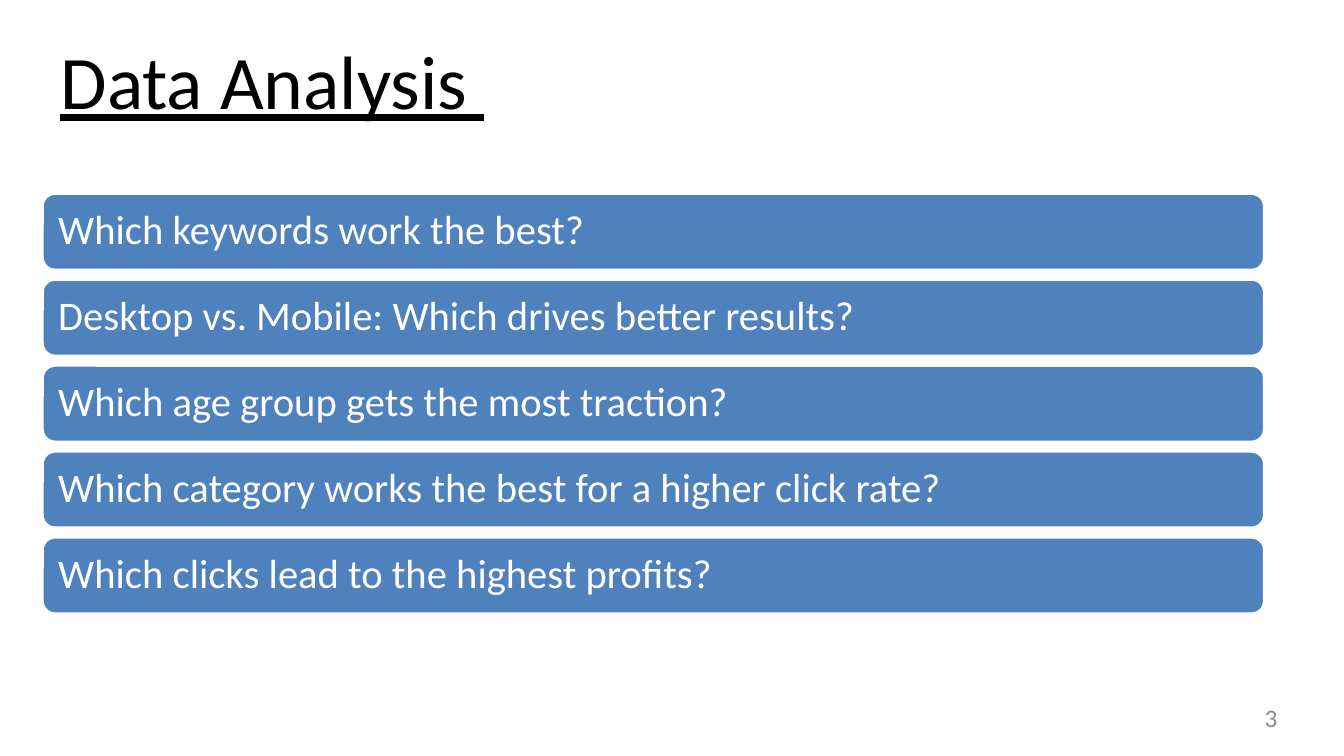
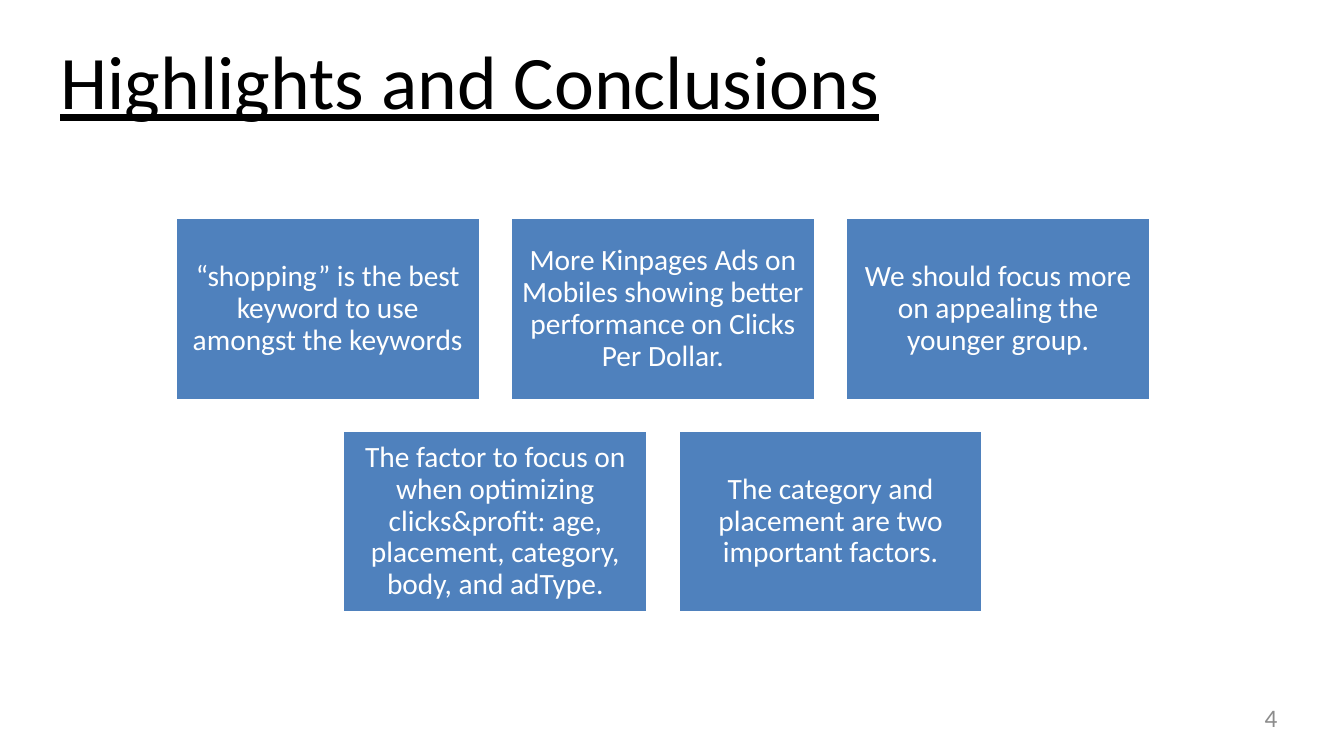
"""Build two slides: the questions analysed and the conclusions drawn."""
from dataclasses import dataclass

from pptx import Presentation
from pptx.dml.color import RGBColor
from pptx.enum import shapes, text
from pptx.util import Inches, Pt


@dataclass(frozen=True)
class Theme:
    """Colours, font and type sizes of the deck."""
    font: str = "Calibri"
    ink: str = "000000"
    panel: str = "4F81BD"
    paper: str = "FFFFFF"
    muted: str = "8C8C8C"
    title_size: int = 54
    bar_size: int = 29
    card_size: int = 21
    number_size: int = 18
    outline: int = 2


@dataclass(frozen=True)
class Box:
    """A rectangle in inches."""
    left: float
    top: float
    width: float
    height: float

    def lengths(self):
        """Return left, top, width and height as slide lengths."""
        return [Inches(side) for side in (self.left, self.top, self.width, self.height)]


THEME = Theme()
TITLE_BOX = Box(0.6, 0.34, 12.12, 0.91)
NUMBER_BOX = Box(9.6, 6.97, 3.07, 0.38)
BARS_BOX = Box(0.42, 1.92, 12.12, 4.17)
CARDS_BOX = Box(1.74, 2.16, 9.67, 3.92)
BAR_HEIGHT = 0.76
CARD_WIDTH, CARD_HEIGHT = 3.02, 1.81

QUESTIONS = [
    "Which keywords work the best?",
    "Desktop vs. Mobile: Which drives better results?",
    "Which age group gets the most traction?",
    "Which category works the best for a higher click rate?",
    "Which clicks lead to the highest profits?",
]
CONCLUSION_ROWS = [
    [
        "“shopping” is the best keyword to use amongst the keywords",
        "More Kinpages Ads on Mobiles showing better performance on Clicks Per Dollar.",
        "We should focus more on appealing the younger group.",
    ],
    [
        "The factor to focus on when optimizing clicks&profit: age, placement, "
        "category, body, and adType.",
        "The category and placement are two important factors.",
    ],
]


def write_text(shape, words, *, size, color, align=text.PP_ALIGN.LEFT,
               anchor=text.MSO_ANCHOR.TOP, inset=0, spacing=1.0, underline=False):
    """Write one formatted paragraph into a shape."""
    frame = shape.text_frame
    frame.word_wrap = True
    frame.auto_size = text.MSO_AUTO_SIZE.NONE
    frame.vertical_anchor = anchor
    frame.margin_left = frame.margin_right = Inches(inset)
    frame.margin_top = frame.margin_bottom = Inches(inset)
    para = frame.paragraphs[0]
    para.alignment = align
    para.line_spacing = spacing
    span = para.add_run()
    span.text = words
    span.font.name = THEME.font
    span.font.size = Pt(size)
    span.font.underline = underline
    span.font.color.rgb = RGBColor.from_string(color)


def add_page(deck, title, number):
    """Add a slide with its title and page number."""
    page = deck.slides.add_slide(deck.slide_layouts[5])
    heading = page.shapes.title
    heading.left, heading.top, heading.width, heading.height = TITLE_BOX.lengths()
    write_text(heading, title, size=THEME.title_size, color=THEME.ink, underline=True)
    footer = page.shapes.add_textbox(*NUMBER_BOX.lengths())
    write_text(footer, str(number), size=THEME.number_size, color=THEME.muted,
               align=text.PP_ALIGN.RIGHT)
    return page


def add_panel(page, kind, box, words, **style):
    """Add a filled, outlined shape with vertically centred text."""
    panel = page.shapes.add_shape(kind, *box.lengths())
    panel.shadow.inherit = False
    panel.fill.solid()
    panel.fill.fore_color.rgb = RGBColor.from_string(THEME.panel)
    panel.line.color.rgb = RGBColor.from_string(THEME.paper)
    panel.line.width = Pt(THEME.outline)
    write_text(panel, words, color=THEME.paper, anchor=text.MSO_ANCHOR.MIDDLE,
               spacing=0.9, **style)


def add_bars(page, region, questions):
    """Stack full-width rounded bars evenly over the region."""
    pitch = (region.height - BAR_HEIGHT) / (len(questions) - 1)
    for index, question in enumerate(questions):
        box = Box(region.left, region.top + index * pitch, region.width, BAR_HEIGHT)
        add_panel(page, shapes.MSO_SHAPE.ROUNDED_RECTANGLE, box, question,
                  size=THEME.bar_size, inset=0.12)


def add_cards(page, region, rows):
    """Lay out rows of equal cards, each row centred in the region."""
    column_pitch = (region.width - CARD_WIDTH) / (max(map(len, rows)) - 1)
    row_pitch = (region.height - CARD_HEIGHT) / (len(rows) - 1)
    for row_index, row in enumerate(rows):
        row_width = CARD_WIDTH + (len(row) - 1) * column_pitch
        row_left = region.left + (region.width - row_width) / 2
        for column, conclusion in enumerate(row):
            box = Box(row_left + column * column_pitch,
                      region.top + row_index * row_pitch, CARD_WIDTH, CARD_HEIGHT)
            add_panel(page, shapes.MSO_SHAPE.RECTANGLE, box, conclusion,
                      size=THEME.card_size, inset=0.09, align=text.PP_ALIGN.CENTER)


def main():
    """Build and save the deck."""
    deck = Presentation()
    deck.slide_width, deck.slide_height = Inches(13.33), Inches(7.5)
    add_bars(add_page(deck, "Data Analysis ", 3), BARS_BOX, QUESTIONS)
    add_cards(add_page(deck, "Highlights and Conclusions", 4), CARDS_BOX, CONCLUSION_ROWS)
    deck.save("out.pptx")


if __name__ == "__main__":
    main()
